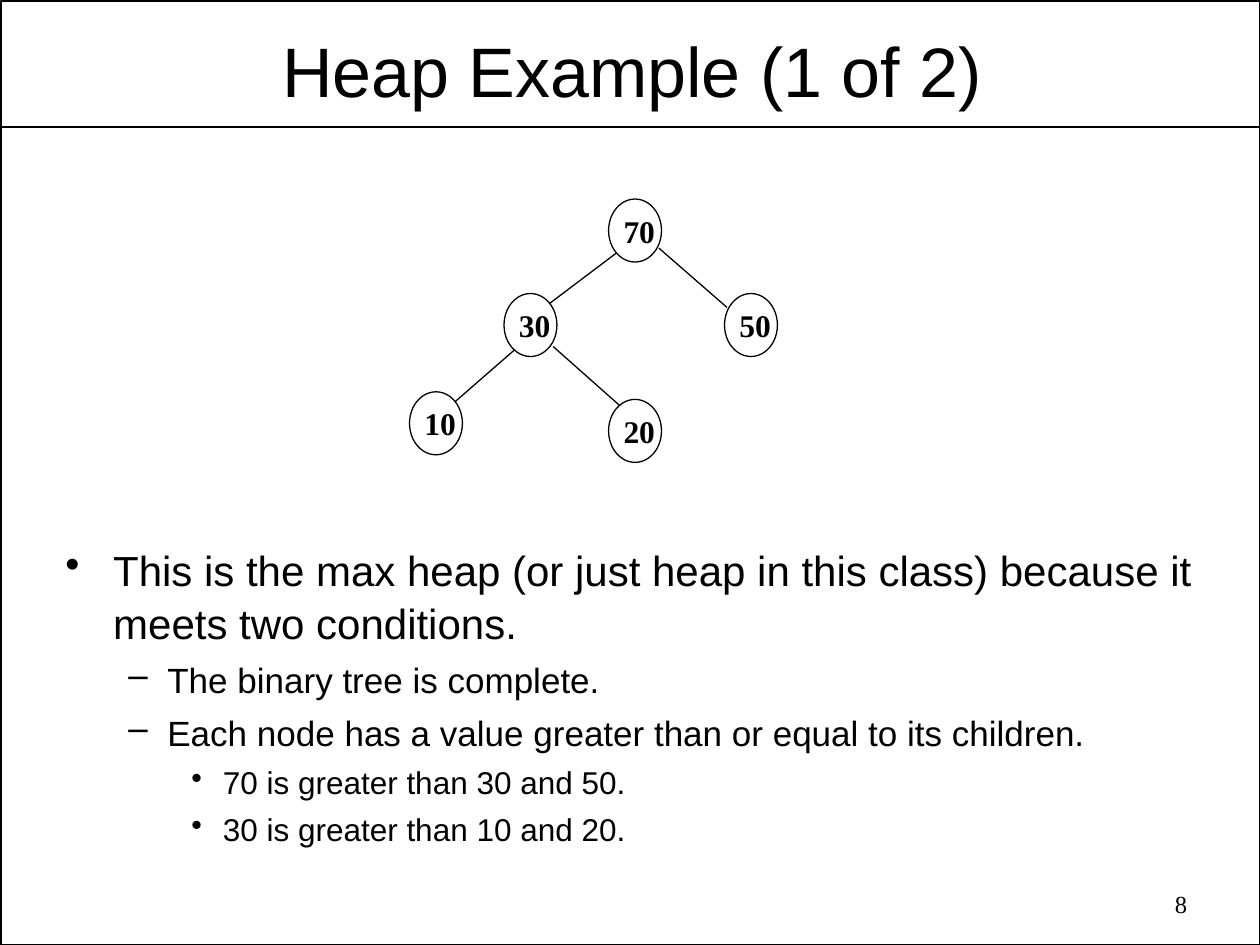
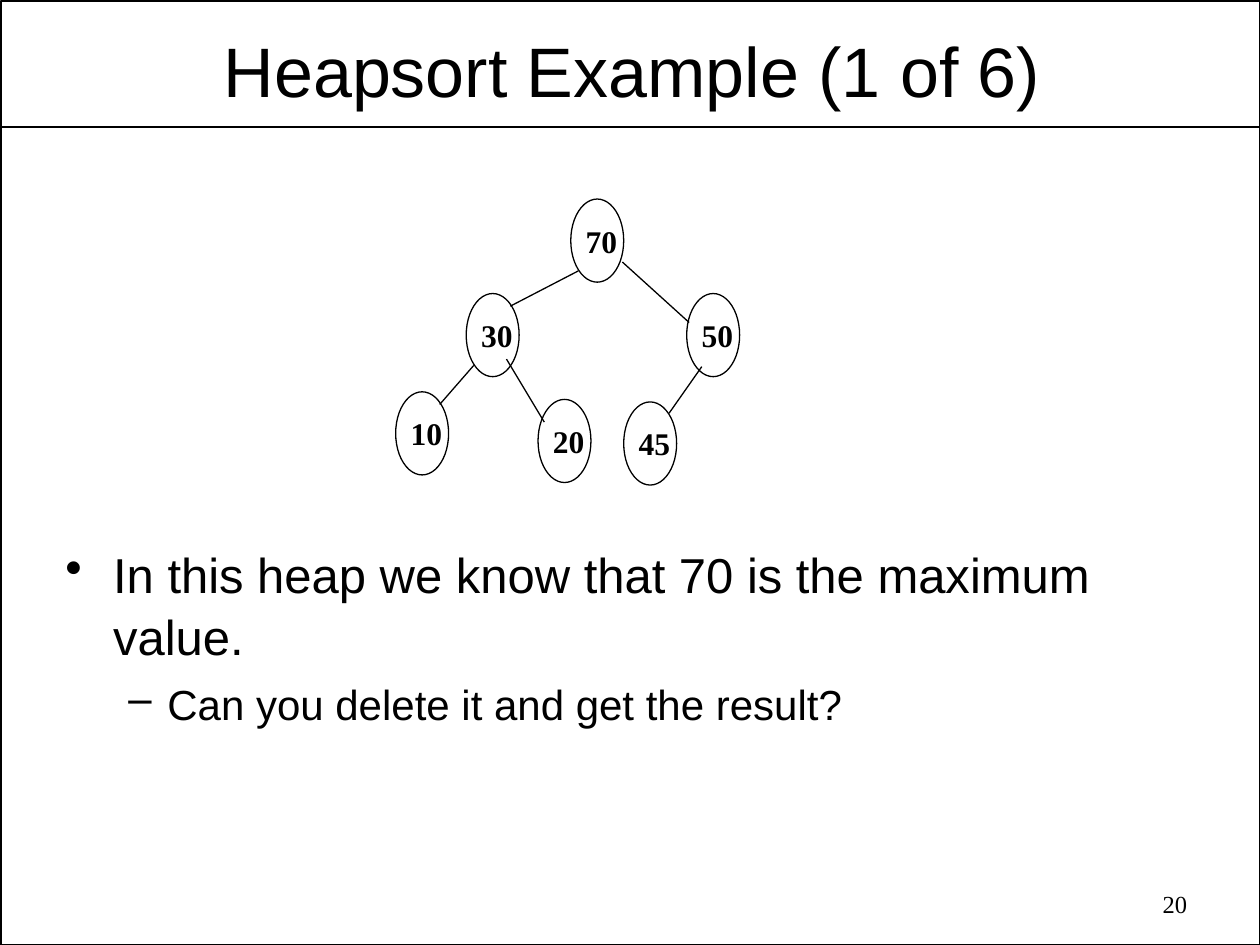
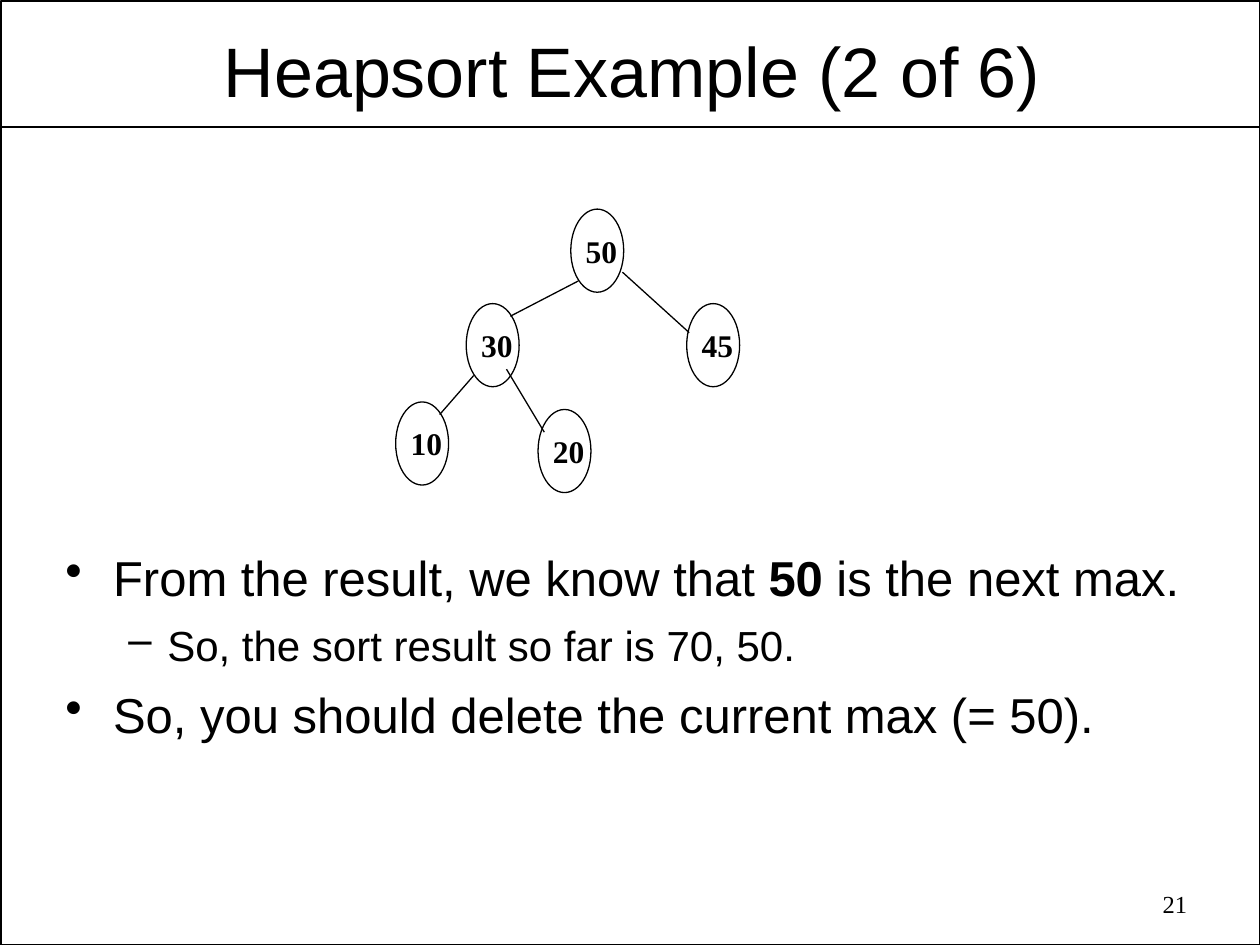
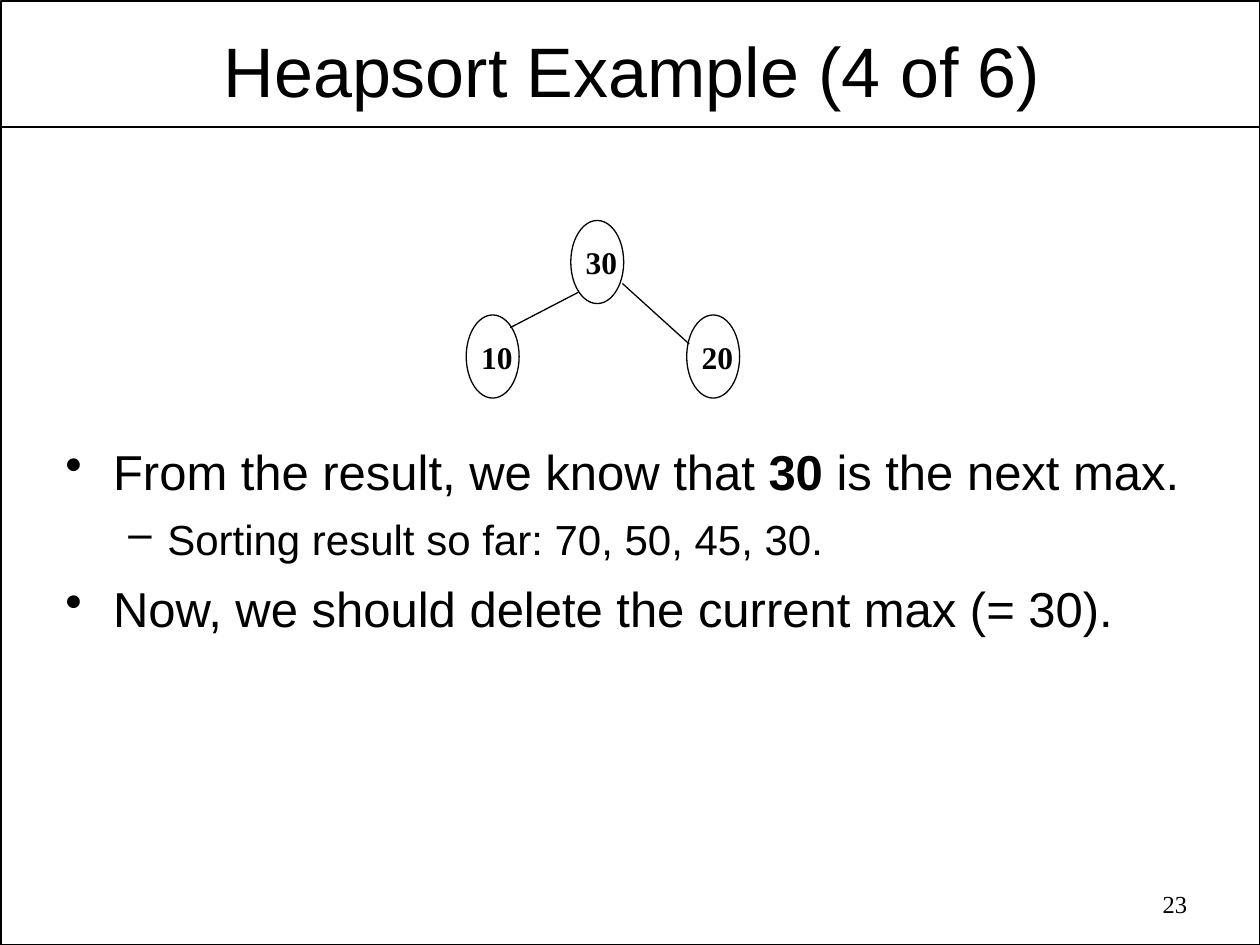
from typing import NamedTuple

from lxml.etree import SubElement
from pptx import Presentation
from pptx.dml.color import RGBColor
from pptx.enum.shapes import MSO_CONNECTOR, MSO_SHAPE
from pptx.enum.text import MSO_AUTO_SIZE, PP_ALIGN
from pptx.oxml.ns import qn
from pptx.util import Inches, Pt

COLORS = {"ink": "000000"}
SANS, SERIF = "Arial", "Times New Roman"
INK = RGBColor.from_string(COLORS["ink"])
NODE_W, LABEL_W, LABEL_H = 0.42, 0.45, 0.4


class Level(NamedTuple):
    mark: str
    left: float
    hang: float


class Tree(NamedTuple):
    """Node places in heap order; link i runs between node i + 1 and its parent."""
    height: float
    spots: list[tuple[float, float]]
    links: list[tuple[float, float, float, float]]


class Item(NamedTuple):
    """A bullet; text between asterisks is bold."""
    level: int
    text: str


class Page(NamedTuple):
    title: str
    number: int
    tree: Tree
    drop: float
    values: list[int]
    top: float
    height: float
    sizes: list[int]
    items: list[Item]


LEVELS = [Level("•", 0.38, 0.38), Level("–", 0.81, 0.31), Level("•", 1.25, 0.25)]

ROUND = Tree(
    0.5,
    [(4.83, 1.58), (4, 2.33), (5.75, 2.33), (3.25, 3.11), (4.83, 3.17)],
    [(4.89, 2.01, 4.36, 2.41), (5.77, 2.44, 5.23, 1.97),
     (4.08, 2.78, 3.61, 3.19), (4.92, 3.22, 4.39, 2.75)],
)
TALL = Tree(
    0.66,
    [(4.53, 1.58), (3.7, 2.33), (5.45, 2.33), (3.14, 3.11), (4.27, 3.17), (4.95, 3.19)],
    [(4.59, 2.15, 4.05, 2.43), (5.47, 2.56, 4.94, 2.08), (3.76, 2.9, 3.49, 3.21),
     (4.32, 3.35, 4.02, 2.85), (5.57, 2.91, 5.31, 3.28)],
)

PAGES = [
    Page("Heap Example (1 of 2)", 8, ROUND, 0, [70, 30, 50, 10, 20],
         4.25, 2.78, [24, 20, 18], [
             Item(0, "This is the max heap (or just heap in this class) "
                     "because it meets two conditions."),
             Item(1, "The binary tree is complete."),
             Item(1, "Each node has a value greater than or equal to its children."),
             Item(2, "70 is greater than 30 and 50."),
             Item(2, "30 is greater than 10 and 20."),
         ]),
    Page("Heapsort Example (1 of 6)", 20, TALL, 0, [70, 30, 50, 10, 20, 45],
         4.25, 2.12, [28, 24], [
             Item(0, "In this heap we know that 70 is the maximum value."),
             Item(1, "Can you delete it and get the result?"),
         ]),
    Page("Heapsort Example (2 of 6)", 21, TALL, 0.08, [50, 30, 45, 10, 20],
         4.27, 2.31, [28, 24], [
             Item(0, "From the result, we know that *50* is the next max."),
             Item(1, "So, the sort result so far is 70, 50."),
             Item(0, "So, you should delete the current max (= 50)."),
         ]),
    Page("Heapsort Example (4 of 6)", 23, TALL, 0.17, [30, 10, 20],
         3.43, 2.34, [28, 24], [
             Item(0, "From the result, we know that *30 *is the next max."),
             Item(1, "Sorting result so far: 70, 50, 45, 30."),
             Item(0, "Now, we should delete the current max (= 30)."),
         ]),
]


def style(para, face: str, size: float, bold: bool | None = None) -> None:
    font = para.font
    font.name, font.size, font.bold = face, Pt(size), bold
    font.color.rgb = INK


def add_box(shapes, x: float, y: float, w: float, h: float, wrap: bool = True):
    frame = shapes.add_textbox(Inches(x), Inches(y), Inches(w), Inches(h)).text_frame
    frame.word_wrap = wrap
    return frame


def add_line(shapes, x1: float, y1: float, x2: float, y2: float, width: float) -> None:
    line = shapes.add_connector(MSO_CONNECTOR.STRAIGHT, Inches(x1), Inches(y1),
                                Inches(x2), Inches(y2))
    line.line.color.rgb = INK
    line.line.width = Pt(width)
    SubElement(line._element.spPr, qn("a:effectLst"))


def add_outline(shapes, kind, x: float, y: float, w: float, h: float, width: float) -> None:
    shape = shapes.add_shape(kind, Inches(x), Inches(y), Inches(w), Inches(h))
    shape.shadow.inherit = False
    shape.fill.background()
    shape.line.color.rgb = INK
    shape.line.width = Pt(width)


def add_frame(slide, page: Page) -> None:
    """Draw the border, title band and page number that all slides share."""
    add_outline(slide.shapes, MSO_SHAPE.RECTANGLE, 0.01, 0.01, 9.99, 7.49, 1)
    add_line(slide.shapes, 0.01, 1.01, 9.99, 1.01, 1)

    title = add_box(slide.shapes, 0.53, 0.19, 8.97, 0.72)
    title.margin_left = title.margin_right = Inches(0.07)
    title.margin_top = title.margin_bottom = Inches(0.03)
    title.text = page.title
    title.paragraphs[0].alignment = PP_ALIGN.CENTER
    style(title.paragraphs[0], SANS, 40)

    number = add_box(slide.shapes, 7.18, 7.01, 2.34, 0.36)
    number.text = str(page.number)
    number.paragraphs[0].alignment = PP_ALIGN.RIGHT
    style(number.paragraphs[0], SERIF, 14)


def add_bullet(para, level: Level) -> None:
    props = para._p.get_or_add_pPr()
    props.set("marL", str(Inches(level.left)))
    props.set("indent", str(-Inches(level.hang)))
    color = SubElement(props, qn("a:buClr"))
    SubElement(color, qn("a:srgbClr"), val=COLORS["ink"])
    SubElement(props, qn("a:buChar"), char=level.mark)


def add_items(slide, page: Page) -> None:
    frame = add_box(slide.shapes, 0.42, page.top, 9.17, page.height)
    for i, item in enumerate(page.items):
        para = frame.add_paragraph() if i else frame.paragraphs[0]
        size = page.sizes[item.level]
        para.level = item.level
        add_bullet(para, LEVELS[item.level])
        para.line_spacing = 1.05
        para.space_before = Pt(size / 4 if i else 0)
        style(para, SANS, size)
        for j, part in enumerate(item.text.split("*")):
            run = para.add_run()
            run.text = part
            if j % 2:
                run.font.bold = True


def add_node(slide, value: int, x: float, y: float, height: float) -> None:
    shapes = slide.shapes.add_group_shape().shapes
    label = add_box(shapes, x + 0.02, y + (height - LABEL_H) / 2, LABEL_W, LABEL_H, False)
    label.auto_size = MSO_AUTO_SIZE.SHAPE_TO_FIT_TEXT
    label.text = str(value)
    style(label.paragraphs[0], SERIF, 18, True)
    add_outline(shapes, MSO_SHAPE.OVAL, x, y, NODE_W, height, 0.75)


def add_tree(slide, page: Page) -> None:
    tree, drop = page.tree, page.drop
    for x1, y1, x2, y2 in tree.links[:len(page.values) - 1]:
        add_line(slide.shapes, x1, y1 + drop, x2, y2 + drop, 0.75)
    for value, (x, y) in zip(page.values, tree.spots):
        add_node(slide, value, x, y + drop, tree.height)


def main() -> None:
    deck = Presentation()
    deck.slide_width, deck.slide_height = Inches(10), Inches(7.5)
    for page in PAGES:
        slide = deck.slides.add_slide(deck.slide_layouts[6])
        add_frame(slide, page)
        add_items(slide, page)
        add_tree(slide, page)
    deck.save("out.pptx")


if __name__ == "__main__":
    main()
